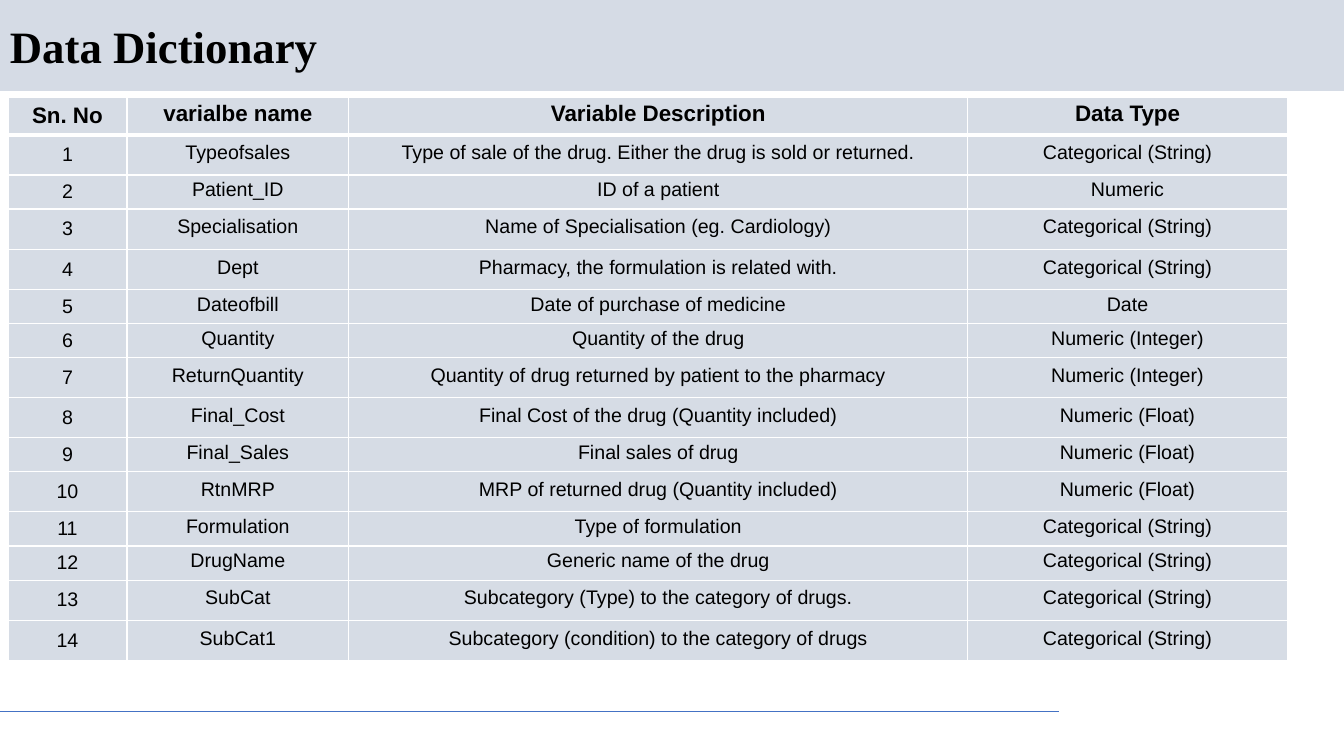
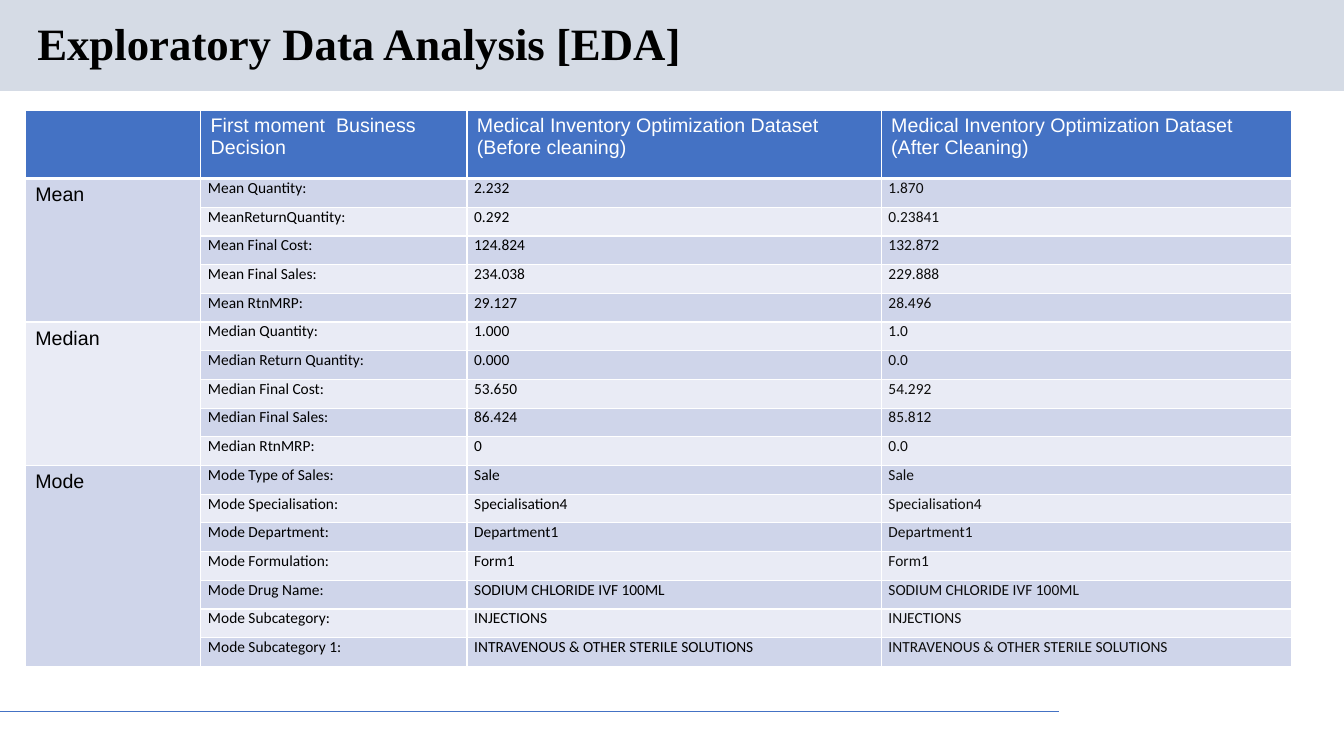
"""Build the data dictionary and exploratory analysis slides of a pharmacy study."""
from lxml.etree import SubElement
from pptx import Presentation
from pptx.dml.color import RGBColor as RGB
from pptx.enum.shapes import MSO_CONNECTOR as CONNECTOR, MSO_SHAPE as SHAPE
from pptx.enum.text import MSO_ANCHOR as ANCHOR, PP_ALIGN as ALIGN
from pptx.oxml.ns import qn
from pptx.util import Cm, Pt

THEME = {
    "band": RGB.from_string("D5DBE5"),
    "rule": RGB.from_string("4472C4"),
    "header": RGB.from_string("4472C4"),
    "plain": RGB.from_string("D6DCE5"),
    "stripes": [RGB.from_string("CFD5EA"), RGB.from_string("E9EBF5")],
    "border": "FFFFFF",
    "black": RGB.from_string("000000"),
    "soft": RGB.from_string("0D0D0D"),
    "white": RGB.from_string("FFFFFF"),
    "title": {"name": "Times New Roman", "size": Pt(32), "bold": True},
    "heading": {"name": "Arial", "size": Pt(16), "bold": True},
    "entry": {"name": "Arial", "size": Pt(14), "bold": False},
    "figure": {"name": "Calibri", "size": Pt(11), "bold": False},
}
ROOMY = {"margin_left": Cm(0.25), "margin_right": Cm(0.25),
         "margin_top": Cm(0.13), "margin_bottom": Cm(0.13)}
MIDDLE = {**ROOMY, "vertical_anchor": ANCHOR.MIDDLE}
SNUG = {**MIDDLE, "margin_left": Cm(0.03), "margin_right": Cm(0.03), "margin_top": Cm(0.03)}
TIGHT = {"margin_left": Cm(0.18), "margin_right": Cm(0.18),
         "margin_top": Cm(0), "margin_bottom": Cm(0)}

VARIABLES = [
    ("Sn. No", "varialbe name", "Variable Description", "Data Type"),
    ("1", "Typeofsales", "Type of sale of the drug. Either the drug is sold or returned.",
     "Categorical (String)"),
    ("2", "Patient_ID", "ID of a patient", "Numeric"),
    ("3", "Specialisation", "Name of Specialisation (eg. Cardiology)", "Categorical (String)"),
    ("4", "Dept", "Pharmacy, the formulation is related with.", "Categorical (String)"),
    ("5", "Dateofbill", "Date of purchase of medicine", "Date"),
    ("6", "Quantity", "Quantity of the drug", "Numeric (Integer)"),
    ("7", "ReturnQuantity", "Quantity of drug returned by patient to the pharmacy",
     "Numeric (Integer)"),
    ("8", "Final_Cost", "Final Cost of the drug (Quantity included)", "Numeric (Float)"),
    ("9", "Final_Sales", "Final sales of drug", "Numeric (Float)"),
    ("10", "RtnMRP", "MRP of returned drug (Quantity included)", "Numeric (Float)"),
    ("11", "Formulation", "Type of formulation", "Categorical (String)"),
    ("12", "DrugName", "Generic name of the drug", "Categorical (String)"),
    ("13", "SubCat", "Subcategory (Type) to the category of drugs.", "Categorical (String)"),
    ("14", "SubCat1", "Subcategory (condition) to the category of drugs",
     "Categorical (String)"),
]
SHORT_ROWS = {2, 5, 6, 9, 11, 12}

MOMENT_HEADER = ("", "First moment  Business Decision",
                 "Medical Inventory Optimization Dataset (Before cleaning)",
                 "Medical Inventory Optimization Dataset (After Cleaning)")
MOMENTS = {
    "Mean": [
        ("Mean Quantity:", "2.232", "1.870"),
        ("MeanReturnQuantity:", "0.292", "0.23841"),
        ("Mean Final Cost:", "124.824", "132.872"),
        ("Mean Final Sales:", "234.038", "229.888"),
        ("Mean RtnMRP:", "29.127", "28.496"),
    ],
    "Median": [
        ("Median Quantity:", "1.000", "1.0"),
        ("Median Return Quantity:", "0.000", "0.0"),
        ("Median Final Cost:", "53.650", "54.292"),
        ("Median Final Sales:", "86.424", "85.812"),
        ("Median RtnMRP:", "0", "0.0"),
    ],
    "Mode": [
        ("Mode Type of Sales:", "Sale", "Sale"),
        ("Mode Specialisation:", "Specialisation4", "Specialisation4"),
        ("Mode Department:", "Department1", "Department1"),
        ("Mode Formulation:", "Form1", "Form1"),
        ("Mode Drug Name:", "SODIUM CHLORIDE IVF 100ML", "SODIUM CHLORIDE IVF 100ML"),
        ("Mode Subcategory:", "INJECTIONS", "INJECTIONS"),
        ("Mode Subcategory 1:", "INTRAVENOUS & OTHER STERILE SOLUTIONS",
         "INTRAVENOUS & OTHER STERILE SOLUTIONS"),
    ],
}


def write(frame, words, font, ink, **layout):
    """Put one formatted paragraph into a text frame."""
    frame.text = words
    paragraph = frame.paragraphs[0]
    for name, value in layout.items():
        setattr(paragraph, name, value)
    for run in paragraph.runs:
        for name, value in font.items():
            setattr(run.font, name, value)
        run.font.color.rgb = ink


def paint(cell, fill, box, under=1):
    """Give a cell its borders, fill and inner spacing."""
    properties = cell._tc.get_or_add_tcPr()
    for side, width in zip("LRTB", (1, 1, 1, under)):
        edge = SubElement(properties, qn(f"a:ln{side}"), w=str(Pt(width)))
        SubElement(SubElement(edge, qn("a:solidFill")), qn("a:srgbClr"), val=THEME["border"])
    cell.fill.solid()
    cell.fill.fore_color.rgb = fill
    for name, value in box.items():
        setattr(cell, name, value)


deck = Presentation()
deck.slide_width, deck.slide_height = Cm(33.87), Cm(19.05)

TITLES = [("Data Dictionary", 0, 0.48, 29.21),
          ("Exploratory Data Analysis [EDA]", 0.69, 0.41, 25.68)]
slides = []
for words, left, top, width in TITLES:
    slide = deck.slides.add_slide(deck.slide_layouts[6])
    band = slide.shapes.add_shape(SHAPE.RECTANGLE, 0, 0, deck.slide_width, Cm(2.29))
    band.shadow.inherit = False
    band.fill.solid()
    band.fill.fore_color.rgb = THEME["band"]
    band.line.fill.background()
    rule = slide.shapes.add_connector(CONNECTOR.STRAIGHT, 0, Cm(17.93), Cm(26.7), Cm(17.93))
    rule.line.color.rgb = THEME["rule"]
    rule.line.width = Pt(0.75)
    SubElement(rule.element.spPr, qn("a:effectLst"))
    title = slide.shapes.add_textbox(Cm(left), Cm(top), Cm(width), Cm(1.5)).text_frame
    title.word_wrap = True
    title.vertical_anchor = ANCHOR.MIDDLE
    write(title, words, THEME["title"], THEME["black"], line_spacing=0.9)
    slides.append(slide)
dictionary_slide, analysis_slide = slides

variable_widths = [3, 5.59, 15.6, 8.05]
variable_heights = [0.93] + [0.86 if number in SHORT_ROWS else 1.01
                             for number in range(1, len(VARIABLES))]
moment_rows = [MOMENT_HEADER]
for moment, measures in MOMENTS.items():
    for position, measure in enumerate(measures):
        moment_rows.append((moment if position == 0 else "", *measure))
moment_widths = [4.42, 6.71, 10.44, 10.34]
measure_count = len(moment_rows) - 1
moment_heights = [1.73] + [12.3 / measure_count] * measure_count

grids = []
for slide, left, top, widths, heights in (
        (dictionary_slide, 0.2, 2.46, variable_widths, variable_heights),
        (analysis_slide, 0.64, 2.77, moment_widths, moment_heights)):
    grid = slide.shapes.add_table(len(heights), len(widths), Cm(left), Cm(top),
                                  Cm(sum(widths)), Cm(sum(heights))).table
    for column, width in zip(grid.columns, widths):
        column.width = Cm(width)
    for row, height in zip(grid.rows, heights):
        row.height = Cm(height)
    grids.append(grid)
dictionary, analysis = grids

for r, variable in enumerate(VARIABLES):
    for c, words in enumerate(variable):
        cell = dictionary.cell(r, c)
        paint(cell, THEME["plain"], SNUG if c else MIDDLE, under=1 if r else 3)
        write(cell.text_frame, words, THEME["entry" if r else "heading"], THEME["black"],
              alignment=ALIGN.CENTER)

for r, measure in enumerate(moment_rows):
    for c, words in enumerate(measure):
        cell = analysis.cell(r, c)
        if r == 0:
            paint(cell, THEME["header"], ROOMY, under=3)
            write(cell.text_frame, words, THEME["entry"], THEME["white"])
        else:
            paint(cell, THEME["stripes"][(r - 1) % 2], TIGHT if c else ROOMY)
            write(cell.text_frame, words, THEME["figure" if c else "entry"],
                  THEME["soft" if c == 3 else "black"])

first = 1
for measures in MOMENTS.values():
    last = first + len(measures) - 1
    analysis.cell(first, 0).merge(analysis.cell(last, 0))
    first = last + 1

deck.save("out.pptx")
